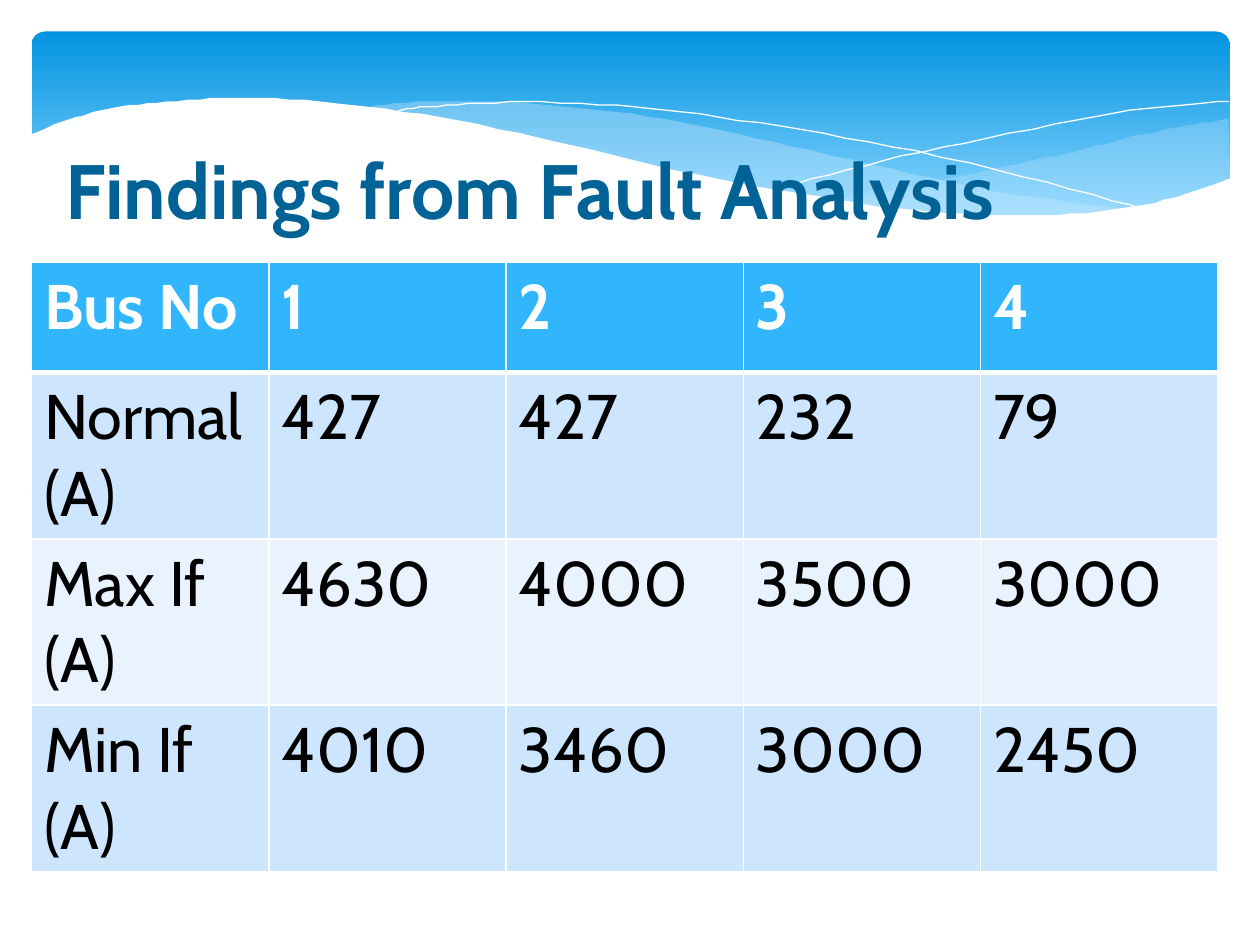
"""Builds the fault analysis slide: a wave banner, a title and a table of bus currents."""
import pptx
import pptx.dml.color
import pptx.enum.shapes
import pptx.enum.text
import pptx.oxml
import pptx.oxml.ns
import pptx.util
from lxml import etree

Pt = pptx.util.Pt

RIGHT_BAND_TOP = [(702, 67.7), (682.6, 71.3), (652.3, 77), (619.9, 85), (579.6, 94.3),
                  (524.9, 105.8), (475.9, 115.2)]
RIGHT_BAND_BOTTOM = [(475.9, 115.2), (507.6, 118.8), (545, 122.4), (586, 123.8),
                     (621.4, 122.4), (651.6, 117.4), (678.2, 110.9), (702.7, 101.5)]
LEFT_BAND_TOP = [(643, 120.2), (602.6, 114.5), (558, 107.3), (508.3, 96.5), (452.9, 83.5),
                 (399.6, 72), (352, 64.1), (302.4, 59), (260, 57.6), (225.4, 59), (206, 62)]
LEFT_BAND_BOTTOM = [(206, 62), (246.2, 67.7), (291, 76.3), (353.5, 90.7), (407.5, 103),
                    (456.5, 112.3), (500.4, 118.8), (548, 123.1), (596, 124.6),
                    (624.2, 122.4), (643, 120.2)]
FALLING_LINE = [(222.5, 64.8), (236.2, 61.9), (261.4, 59.8), (299.5, 58.3), (352, 60.5),
                (400.3, 65.5), (458, 74.2), (523.4, 86.4), (598.3, 104.4), (653, 119.5)]
RISING_LINE = [(441.4, 108.7), (483.8, 97.2), (538.6, 84.2), (602, 71.3), (655.2, 61.9),
               (702, 57.6)]
WHITE_WAVE = [(703.4, 101.5), (676.8, 110.9), (647.3, 118.1), (612, 122.4), (571, 123.1),
              (522.7, 120.2), (466.6, 112.3), (399.6, 100.1), (321.8, 82.1), (262.8, 69.1),
              (210.2, 61.2), (165.6, 56.9), (127.4, 56.2), (95, 58), (68.4, 61.2),
              (42.5, 67), (16.6, 77)]
WAVE_BASE = [(16.6, 161), (703.4, 161)]

CURRENTS = [
    ["Bus No", "1", "2", "3", "4"],
    ["Normal (A)", "427", "427", "232", "79"],
    ["Max If (A)", "4630", "4000", "3500", "3000"],
    ["Min If\n(A)", "4010", "3460", "3000", "2450"],
]


def color(value):
    return pptx.dml.color.RGBColor.from_string(value)


def smooth(points, steps=5):
    padded = [points[0], *points, points[-1]]
    curve = [points[0]]
    for before, start, end, after in zip(padded, padded[1:], padded[2:], padded[3:]):
        for step in range(1, steps + 1):
            t = step / steps
            curve.append(tuple(
                (2 * b + (c - a) * t + (2 * a - 5 * b + 4 * c - d) * t ** 2
                 + (3 * b - a - 3 * c + d) * t ** 3) / 2
                for a, b, c, d in zip(before, start, end, after)))
    return curve


class WaveSlide:
    font = "Cabin"
    white = "FFFFFF"
    title_color = "016296"
    text_color = "000000"
    header_fill = "31B6FD"
    row_fills = ["CEE5FE", "E8F3FF"]
    band_fill = "C6E7FC"
    banner_stops = [(0, "0293E0"), (0.9, "83D3FE")]

    def __init__(self, deck):
        self.slide = deck.slides.add_slide(deck.slide_layouts[5])

    def format_text(self, frame, size, value, bold):
        for para in frame.paragraphs:
            para.alignment = pptx.enum.text.PP_ALIGN.LEFT
            for span in para.runs:
                span.font.name = self.font
                span.font.size = Pt(size)
                span.font.bold = bold
                span.font.color.rgb = color(value)

    def banner(self, left, top, width, height):
        box = self.slide.shapes.add_shape(
            pptx.enum.shapes.MSO_SHAPE.ROUNDED_RECTANGLE,
            Pt(left), Pt(top), Pt(width), Pt(height))
        box.adjustments[0] = 0.07
        box.shadow.inherit = False
        box.line.fill.background()
        box.fill.gradient()
        box.fill.gradient_angle = 270
        for stop, (position, value) in zip(box.fill.gradient_stops, self.banner_stops):
            stop.position = position
            stop.color.rgb = color(value)

    def outline(self, points, close):
        builder = self.slide.shapes.build_freeform(*points[0], scale=Pt(1))
        builder.add_line_segments(points[1:], close=close)
        shape = builder.convert_to_shape()
        shape.shadow.inherit = False
        return shape

    def area(self, points, value, opacity=100):
        shape = self.outline(points, True)
        shape.line.fill.background()
        shape.fill.solid()
        shape.fill.fore_color.rgb = color(value)
        if opacity < 100:
            fill = shape.element.find(".//" + pptx.oxml.ns.qn("a:srgbClr"))
            etree.SubElement(fill, pptx.oxml.ns.qn("a:alpha"), val=str(opacity * 1000))

    def curve(self, points):
        shape = self.outline(smooth(points), False)
        shape.fill.background()
        shape.line.color.rgb = color(self.white)
        shape.line.width = Pt(0)

    def border(self, cell, side, width):
        properties = cell._tc.get_or_add_tcPr()
        properties.append(pptx.oxml.parse_xml(
            f'<a:{side} {pptx.oxml.ns.nsdecls("a")} w="{Pt(width)}"><a:solidFill>'
            f'<a:srgbClr val="{self.white}"/></a:solidFill></a:{side}>'))

    def table(self, left, top, column_width, row_heights, rows):
        width = column_width * len(rows[0])
        table = self.slide.shapes.add_table(
            len(rows), len(rows[0]), Pt(left), Pt(top), Pt(width), Pt(sum(row_heights))).table
        for column in table.columns:
            column.width = Pt(column_width)
        for index, (texts, height) in enumerate(zip(rows, row_heights)):
            header = index == 0
            table.rows[index].height = Pt(height)
            for cell, text in zip(table.rows[index].cells, texts):
                cell.text_frame.text = text
                self.format_text(cell.text_frame, 36,
                                 self.white if header else self.text_color, header)
                self.border(cell, "lnL", 1)
                self.border(cell, "lnR", 1)
                self.border(cell, "lnT", 3 if index == 1 else 1)
                self.border(cell, "lnB", 3 if header else 1)
                cell.fill.solid()
                cell.fill.fore_color.rgb = color(
                    self.header_fill if header else self.row_fills[(index - 1) % 2])

    def title(self, text, left, top, width, height):
        box = self.slide.shapes.title
        box.left, box.top, box.width, box.height = Pt(left), Pt(top), Pt(width), Pt(height)
        frame = box.text_frame
        frame.text = text
        frame.word_wrap = False
        frame.auto_size = pptx.enum.text.MSO_AUTO_SIZE.NONE
        frame.vertical_anchor = pptx.enum.text.MSO_ANCHOR.MIDDLE
        self.format_text(frame, 44, self.title_color, True)
        box.element.getparent().append(box.element)


def main():
    deck = pptx.Presentation()
    deck.slide_width, deck.slide_height = Pt(720), Pt(540)
    page = WaveSlide(deck)
    page.banner(18, 18, 684.7, 112.3)
    page.area(smooth(RIGHT_BAND_TOP) + smooth(RIGHT_BAND_BOTTOM), page.band_fill, 29)
    page.area(smooth(LEFT_BAND_TOP) + smooth(LEFT_BAND_BOTTOM), page.band_fill, 40)
    page.curve(FALLING_LINE)
    page.curve(RISING_LINE)
    page.area(smooth(WHITE_WAVE) + WAVE_BASE, page.white)
    page.table(18, 150, 135.6, [63, 95, 95, 95], CURRENTS)
    page.title("Findings from Fault Analysis", 30.2, 77.8, 550, 60.5)
    deck.save("out.pptx")


if __name__ == "__main__":
    main()
